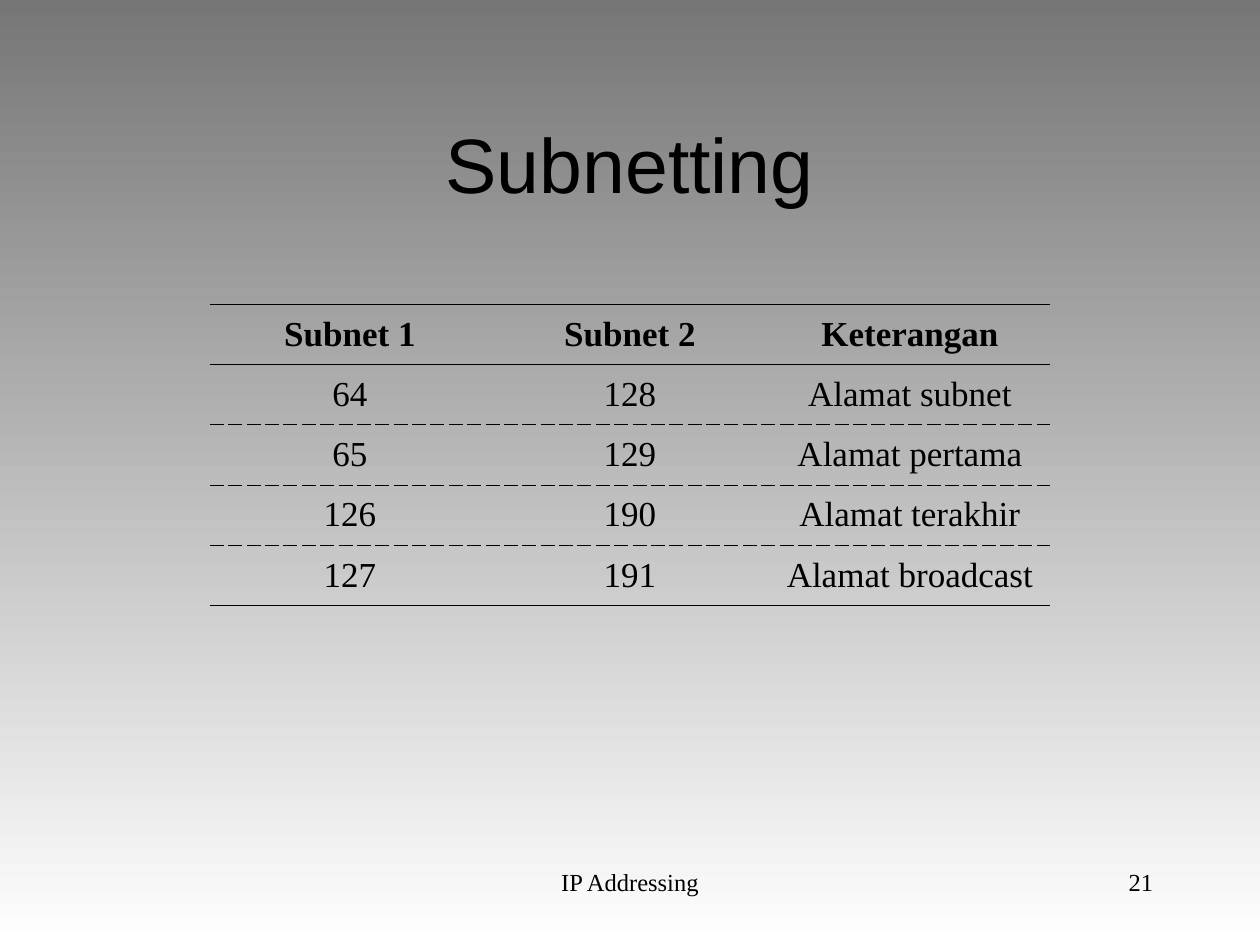
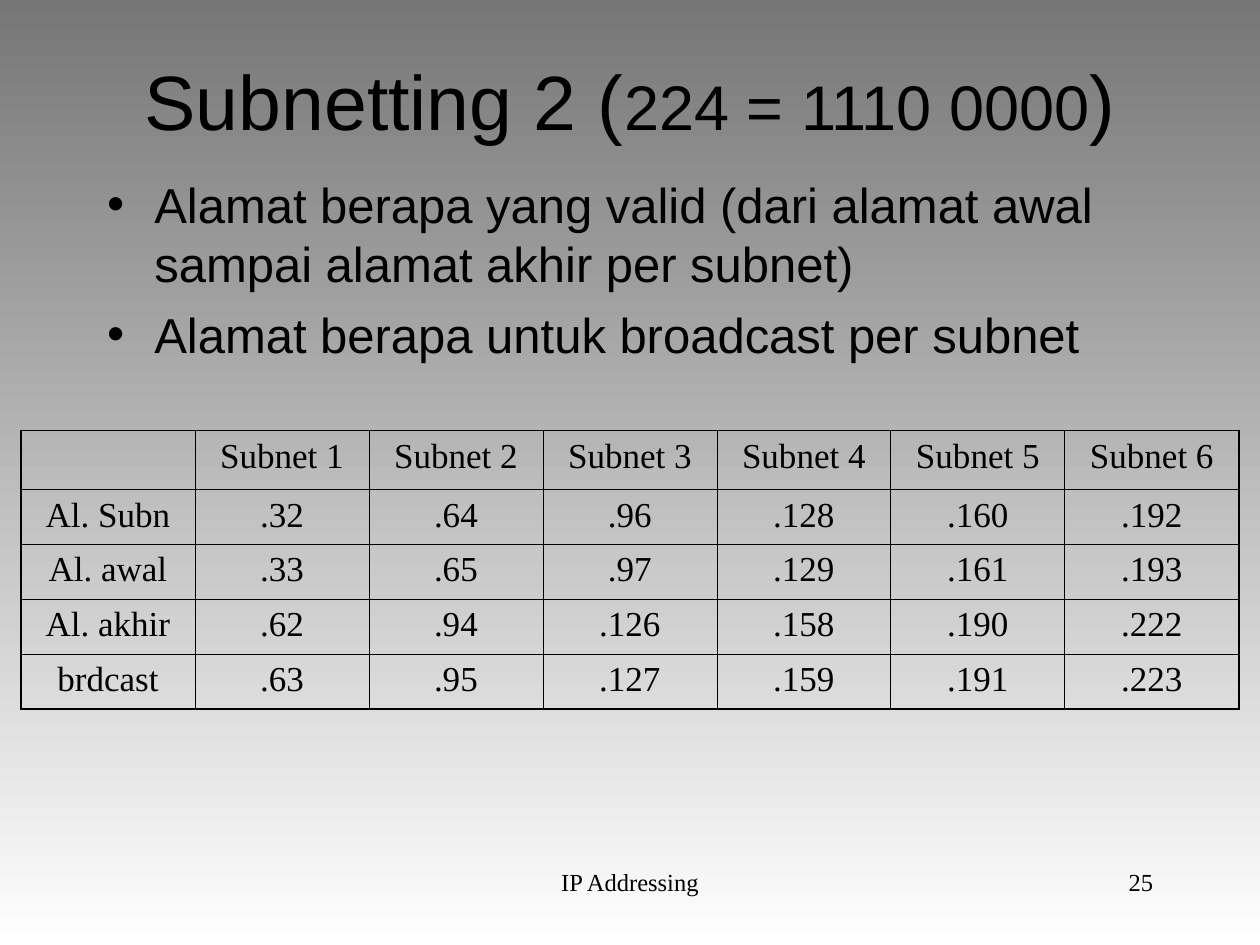
from lxml import etree
from pptx import Presentation
from pptx.dml.color import RGBColor
from pptx.enum import text
from pptx.oxml import ns
from pptx.util import Pt

BLACK = RGBColor(0x00, 0x00, 0x00)
GREY = RGBColor(0x76, 0x76, 0x76)
WHITE = RGBColor(0xFF, 0xFF, 0xFF)
SANS, SERIF = "Arial", "Times New Roman"
MARGIN, CONTENT_WIDTH = 54, 612
THIN, THICK = 0.45, 1.08
CONTENT_LAYOUT, TITLE_ONLY_LAYOUT = 1, 5

ADDRESSES = [
    ["Subnet 1", "Subnet 2", "Keterangan"],
    ["64", "128", "Alamat subnet"],
    ["65", "129", "Alamat pertama"],
    ["126", "190", "Alamat terakhir"],
    ["127", "191", "Alamat broadcast"],
]
SUBNETS = [
    ["", *(f"Subnet {n}" for n in range(1, 7))],
    ["Al. Subn", ".32", ".64", ".96", ".128", ".160", ".192"],
    ["Al. awal", ".33", ".65", ".97", ".129", ".161", ".193"],
    ["Al. akhir", ".62", ".94", ".126", ".158", ".190", ".222"],
    ["brdcast", ".63", ".95", ".127", ".159", ".191", ".223"],
]
QUESTIONS = [
    "Alamat berapa yang valid (dari alamat awal sampai alamat akhir per subnet)",
    "Alamat berapa untuk broadcast per subnet",
]


def style(font, size, name, bold=False):
    font.size, font.name, font.bold = Pt(size), name, bold
    font.color.rgb = BLACK


def place(shape, left, top, width, height):
    shape.left, shape.top = Pt(left), Pt(top)
    shape.width, shape.height = Pt(width), Pt(height)


def add_slide(deck, layout, number):
    """Slide with the shared gradient, footer and page number."""
    slide = deck.slides.add_slide(deck.slide_layouts[layout])
    fill = slide.background.fill
    fill.gradient()
    fill.gradient_angle = 270
    for stop, color in zip(fill.gradient_stops, (GREY, WHITE)):
        stop.color.rgb = color
    add_footer(slide, "IP Addressing", 246, 228, text.PP_ALIGN.CENTER)
    add_footer(slide, str(number), 516, 150, text.PP_ALIGN.RIGHT)
    return slide


def add_footer(slide, words, left, width, align):
    frame = slide.shapes.add_textbox(Pt(left), Pt(492), Pt(width), Pt(36)).text_frame
    frame.word_wrap = True
    line = frame.paragraphs[0]
    line.text, line.alignment = words, align
    style(line.font, 14, SERIF)


def set_title(slide, top, parts):
    """Title made of (words, size) parts."""
    title = slide.shapes.title
    place(title, MARGIN, top, CONTENT_WIDTH, 90)
    frame = title.text_frame
    frame.auto_size = text.MSO_AUTO_SIZE.NONE
    frame.vertical_anchor = text.MSO_ANCHOR.MIDDLE
    line = frame.paragraphs[0]
    line.alignment = text.PP_ALIGN.CENTER
    for words, size in parts:
        run = line.add_run()
        run.text = words
        style(run.font, size, SANS)


def set_bullets(slide, items):
    body = slide.placeholders[1]
    place(body, MARGIN, 96, CONTENT_WIDTH, 138)
    frame = body.text_frame
    frame.auto_size = text.MSO_AUTO_SIZE.NONE
    frame.text = "\n".join(items)
    for line in frame.paragraphs:
        line.space_before = Pt(7)
        style(line.font, 28, SANS)
        props = line._p.get_or_add_pPr()
        props.set("marL", str(Pt(27)))
        props.set("indent", str(-Pt(27)))
        etree.SubElement(props, ns.qn("a:buChar")).set("char", "•")


def set_borders(cell, borders):
    """Borders as (width, dash) for left, right, top, bottom; None hides one."""
    props = cell._tc.get_or_add_tcPr()
    for index, (side, border) in enumerate(zip("LRTB", borders)):
        line = etree.Element(ns.qn(f"a:ln{side}"))
        props.insert(index, line)
        if border is None:
            etree.SubElement(line, ns.qn("a:noFill"))
            continue
        width, dash = border
        line.set("w", str(Pt(width)))
        fill = etree.SubElement(line, ns.qn("a:solidFill"))
        etree.SubElement(fill, ns.qn("a:srgbClr")).set("val", str(BLACK))
        etree.SubElement(line, ns.qn("a:prstDash")).set("val", dash)


def add_grid(slide, rows, left, top, width, heights, borders, anchor, bold_header=False):
    """Unfilled table; borders(row, column) gives the lines of a cell."""
    columns = len(rows[0])
    table = slide.shapes.add_table(len(rows), columns, Pt(left), Pt(top),
                                   Pt(width), Pt(sum(heights))).table
    table.first_row = table.horz_banding = False
    for column in table.columns:
        column.width = Pt(width / columns)
    for r, values in enumerate(rows):
        table.rows[r].height = Pt(heights[r])
        for c, value in enumerate(values):
            cell = table.cell(r, c)
            cell.fill.background()
            cell.vertical_anchor = anchor
            set_borders(cell, borders(r, c))
            line = cell.text_frame.paragraphs[0]
            line.text = value
            line.alignment, line.space_before = text.PP_ALIGN.CENTER, Pt(5)
            style(line.font, 20, SERIF, bold_header and r == 0)


def ruled(r, c):
    """Solid rules around the header and at the end, dashes between."""
    last = len(ADDRESSES) - 1
    above = (THIN, "solid" if r < 2 else "dash")
    below = (THIN, "solid" if r in (0, last) else "dash")
    return None, None, above, below


def boxed(r, c):
    """Thin grid inside a thicker frame."""
    on_frame = (c == 0, c == len(SUBNETS[0]) - 1, r == 0, r == len(SUBNETS) - 1)
    return [(THICK if outer else THIN, "solid") for outer in on_frame]


def main():
    deck = Presentation()
    deck.slide_width, deck.slide_height = Pt(720), Pt(540)

    # Two subnets
    slide = add_slide(deck, TITLE_ONLY_LAYOUT, 21)
    set_title(slide, 48, [("Subnetting", 44)])
    add_grid(slide, ADDRESSES, 120, 174, 480, [34.4] * 5, ruled,
             text.MSO_ANCHOR.MIDDLE, bold_header=True)

    # Six subnets
    slide = add_slide(deck, CONTENT_LAYOUT, 25)
    set_title(slide, 12, [("Subnetting 2 (", 44), ("224 = 1110 0000", 36), (")", 44)])
    set_bullets(slide, QUESTIONS)
    add_grid(slide, SUBNETS, 12, 246, 696, [33.7] + [31.4] * 4, boxed,
             text.MSO_ANCHOR.TOP)

    deck.save("out.pptx")


main()
